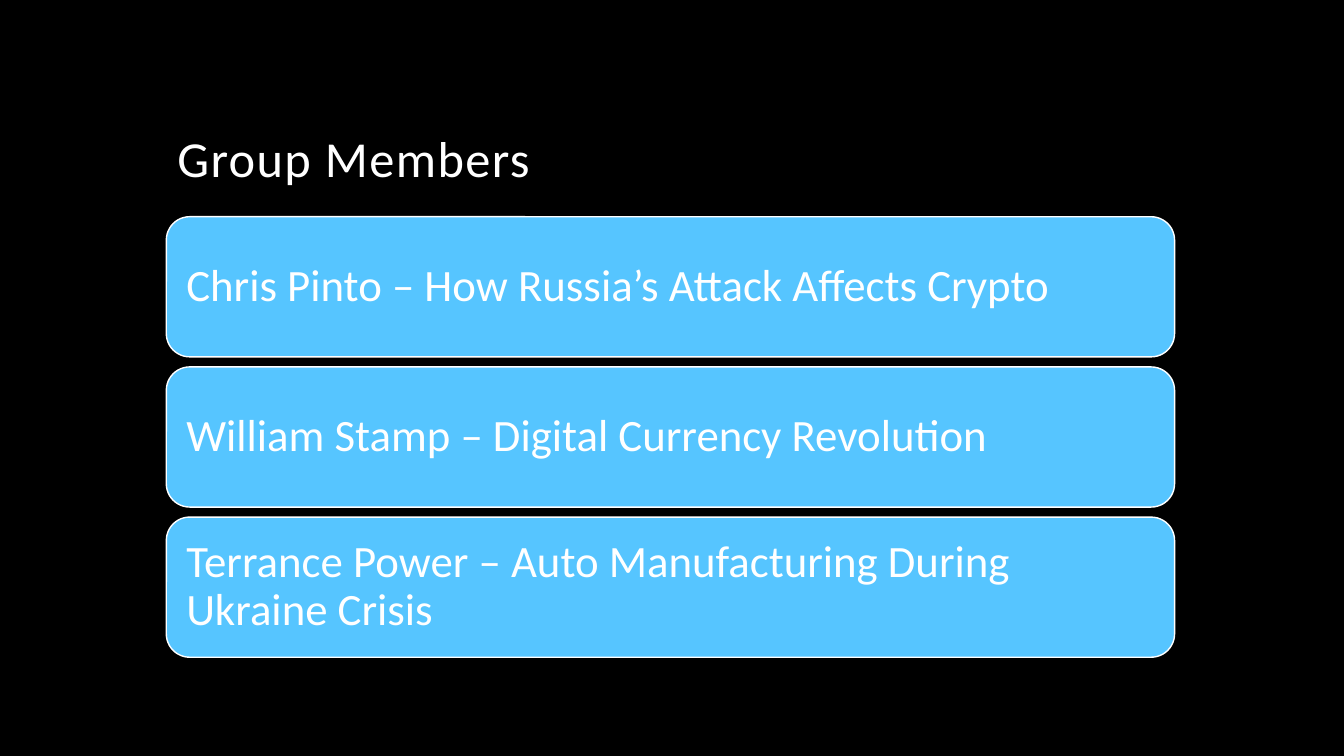
from pptx import Presentation
from pptx.dml.color import RGBColor
from pptx.enum.shapes import MSO_SHAPE
from pptx.enum.text import MSO_ANCHOR, PP_ALIGN
from pptx.util import Inches, Pt

BLACK = RGBColor(0x00, 0x00, 0x00)
WHITE = RGBColor(0xFF, 0xFF, 0xFF)
SKY_BLUE = RGBColor(0x56, 0xC5, 0xFF)

MEMBERS = [
    "Chris Pinto – How Russia’s Attack Affects Crypto",
    "William Stamp – Digital Currency Revolution",
    "Terrance Power – Auto Manufacturing During Ukraine Crisis",
]
CARD_LEFT, CARD_TOP = 1.65, 2.15
CARD_WIDTH, CARD_HEIGHT = 10, 1.39
CARD_STEP = 1.49
CARD_INSET = 0.13


class SlideBuilder:
    def __init__(self, deck, font="Calibri"):
        self.font = font
        self.slide = deck.slides.add_slide(deck.slide_layouts[5])
        background = self.slide.background.fill
        background.solid()
        background.fore_color.rgb = BLACK

    def set_text(self, frame, text, size, anchor):
        frame.word_wrap = True
        frame.vertical_anchor = anchor
        frame.text = text
        para = frame.paragraphs[0]
        para.alignment = PP_ALIGN.LEFT
        para.line_spacing = 0.9
        para.font.name = self.font
        para.font.size = Pt(size)
        para.font.color.rgb = WHITE
        return para

    def title(self, text):
        box = self.slide.shapes.title
        box.left, box.top = Inches(1.66), Inches(0.42)
        box.width, box.height = Inches(10), Inches(1.5)
        para = self.set_text(box.text_frame, text, 36, MSO_ANCHOR.BOTTOM)
        para.runs[0].font._element.set("spc", "100")

    def card(self, text, top):
        box = self.slide.shapes.add_shape(
            MSO_SHAPE.ROUNDED_RECTANGLE, Inches(CARD_LEFT), Inches(top),
            Inches(CARD_WIDTH), Inches(CARD_HEIGHT))
        box.shadow.inherit = False
        box.fill.solid()
        box.fill.fore_color.rgb = SKY_BLUE
        box.line.color.rgb = WHITE
        box.line.width = Pt(1)
        frame = box.text_frame
        frame.margin_left = frame.margin_right = Inches(CARD_INSET)
        frame.margin_top = frame.margin_bottom = Inches(CARD_INSET)
        self.set_text(frame, text, 32, MSO_ANCHOR.MIDDLE)


def main():
    deck = Presentation()
    deck.slide_width, deck.slide_height = Inches(13.33), Inches(7.5)
    page = SlideBuilder(deck)
    page.title("Group Members")
    for index, member in enumerate(MEMBERS):
        page.card(member, CARD_TOP + index * CARD_STEP)
    deck.save("out.pptx")


if __name__ == "__main__":
    main()
